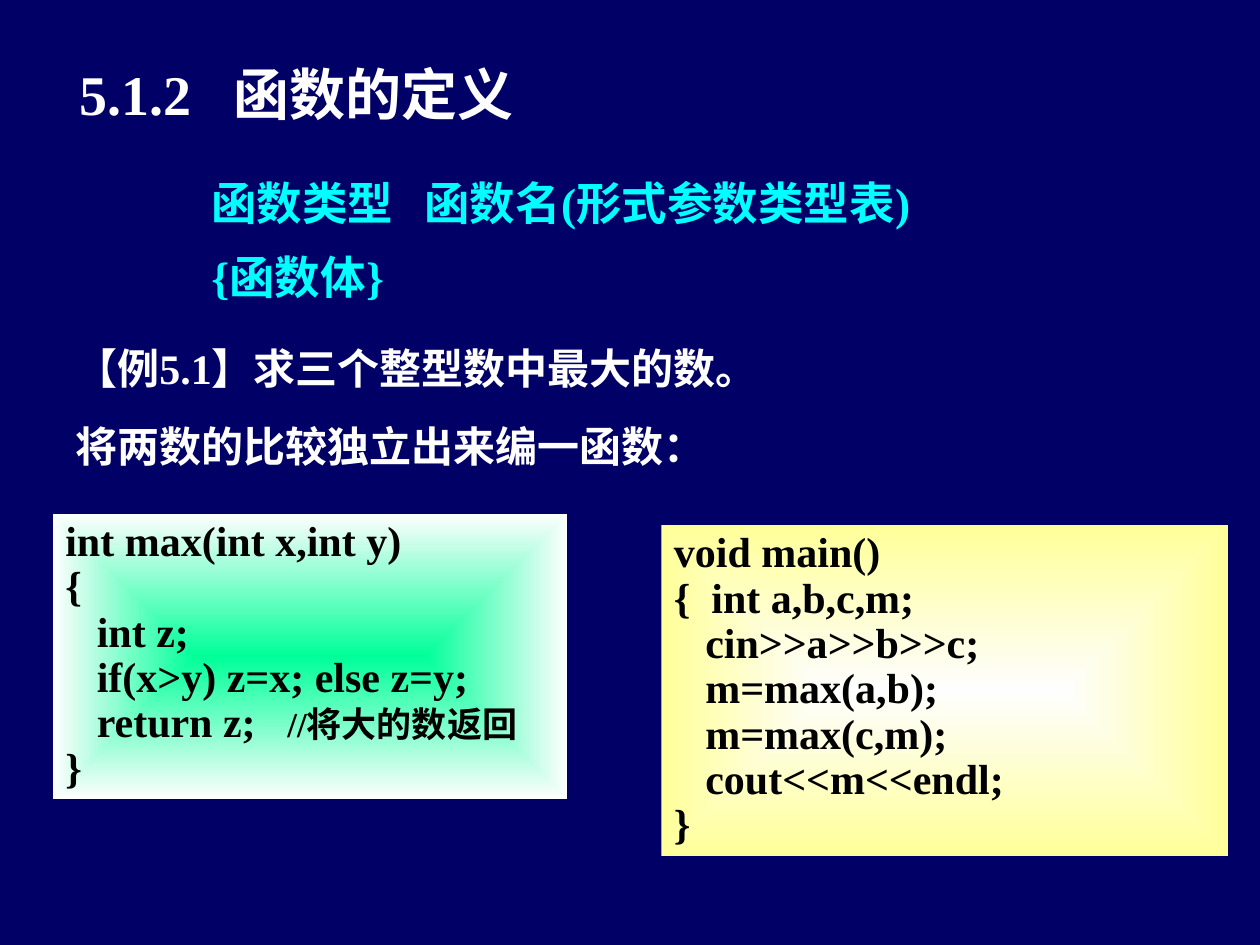
from lxml import etree
from pptx import Presentation
from pptx.dml.color import RGBColor
from pptx.enum.shapes import MSO_SHAPE
from pptx.enum.text import MSO_ANCHOR, PP_ALIGN
from pptx.oxml.ns import qn
from pptx.util import Inches, Pt

RECTANGLE = MSO_SHAPE.RECTANGLE
TOP = MSO_ANCHOR.TOP
LEFT = PP_ALIGN.LEFT
LATIN, CHINESE = "Times New Roman", "Noto Sans CJK SC"
NAVY, WHITE, CYAN, BLACK = "000066", "FFFFFF", "00FFFF", "000000"

HEADING = {
    "at": (0.53, 0.42, 3.64, 0.64), "size": 32, "color": WHITE, "tab": 1.22,
    "lines": [[("5.1.2\t函数的定义", LATIN)]],
}
PASSAGES = [
    {"at": (1.58, 1.25, 7.5, 1.21), "size": 26, "color": CYAN, "tab": 1.69,
     "spacing": 1.2, "before": 4.9,
     "lines": [[("函数类型\t函数名(形式参数类型表)", LATIN)],
               [("{函数体}", LATIN)]]},
    {"at": (0.5, 2.67, 8.92, 0.5), "size": 24, "color": WHITE,
     "lines": [[("【例", CHINESE), ("5.1", LATIN),
                ("】求三个整型数中最大的数。", CHINESE)]]},
    {"at": (0.5, 3.33, 6.75, 0.67), "size": 24, "color": WHITE, "spacing": 0.9,
     "lines": [[("将两数的比较独立出来编一函数：", CHINESE)]]},
]
LISTINGS = [
    {"at": (0.42, 4.08, 4.08, 2.26), "gradient": ("00FF99", "FEFEFE"),
     "code": ["int max(int x,int y)", "{", "   int z;",
              "   if(x>y) z=x; else z=y;",
              "   return z;   //将大的数返回", "}"]},
    {"at": (5.25, 4.17, 4.5, 2.62), "gradient": ("FEFEFE", "FFFF99"),
     "code": ["void main()", "{  int a,b,c,m;", "   cin>>a>>b>>c;",
              "   m=max(a,b);", "   m=max(c,m);", "   cout<<m<<endl;", "}"]},
]
CODE_SIZE, COMMENT_SIZE = 24, 20


def rgb(value):
    return RGBColor.from_string(value)


def add_run(paragraph, text, face, size, color):
    run = paragraph.add_run()
    run.text = text
    font = run.font
    font.size, font.bold, font.name = Pt(size), True, face
    font.color.rgb = rgb(color)
    etree.SubElement(run._r.get_or_add_rPr(), qn("a:ea"), typeface=CHINESE)


def start_paragraph(frame, index, spacing=1.0, before=0, tab=None):
    paragraph = frame.add_paragraph() if index else frame.paragraphs[0]
    if tab:
        stops = etree.SubElement(paragraph._p.get_or_add_pPr(), qn("a:tabLst"))
        etree.SubElement(stops, qn("a:tab"), pos=str(Inches(tab)), algn="l")
    paragraph.alignment = LEFT
    paragraph.line_spacing = spacing
    paragraph.space_before = Pt(before if index else 0)
    return paragraph


def write_passage(frame, passage):
    frame.vertical_anchor = TOP
    for index, line in enumerate(passage["lines"]):
        paragraph = start_paragraph(frame, index, passage.get("spacing", 1.0),
                                    passage.get("before", 0), passage.get("tab"))
        for text, face in line:
            add_run(paragraph, text, face, passage["size"], passage["color"])


def add_listing(slide, listing):
    panel = slide.shapes.add_shape(RECTANGLE, *map(Inches, listing["at"]))
    panel.shadow.inherit = False
    panel.line.fill.background()
    panel.fill.gradient()
    for stop, color in zip(panel.fill.gradient_stops, listing["gradient"]):
        stop.color.rgb = rgb(color)
    gradient = panel._element.spPr.find(qn("a:gradFill"))
    gradient.remove(gradient.find(qn("a:lin")))
    center = etree.SubElement(gradient, qn("a:path"), path="rect")
    etree.SubElement(center, qn("a:fillToRect"),
                     {side: "50000" for side in "ltrb"})

    frame = panel.text_frame
    frame.word_wrap = True
    frame.vertical_anchor = TOP
    for index, line in enumerate(listing["code"]):
        paragraph = start_paragraph(frame, index, 0.9)
        statement, slashes, comment = line.partition("//")
        add_run(paragraph, statement, LATIN, CODE_SIZE, BLACK)
        if comment:
            add_run(paragraph, slashes + comment, LATIN, COMMENT_SIZE, BLACK)


def main():
    deck = Presentation()
    deck.slide_width, deck.slide_height = Inches(10), Inches(7.5)
    slide = deck.slides.add_slide(deck.slide_layouts[5])
    slide.background.fill.solid()
    slide.background.fill.fore_color.rgb = rgb(NAVY)

    title = slide.shapes.title
    title.left, title.top, title.width, title.height = map(Inches, HEADING["at"])
    title.text_frame.word_wrap = False
    title.text_frame.margin_right = 0
    write_passage(title.text_frame, HEADING)

    for passage in PASSAGES:
        box = slide.shapes.add_textbox(*map(Inches, passage["at"]))
        box.text_frame.word_wrap = True
        write_passage(box.text_frame, passage)
    for listing in LISTINGS:
        add_listing(slide, listing)
    deck.save("out.pptx")


if __name__ == "__main__":
    main()
